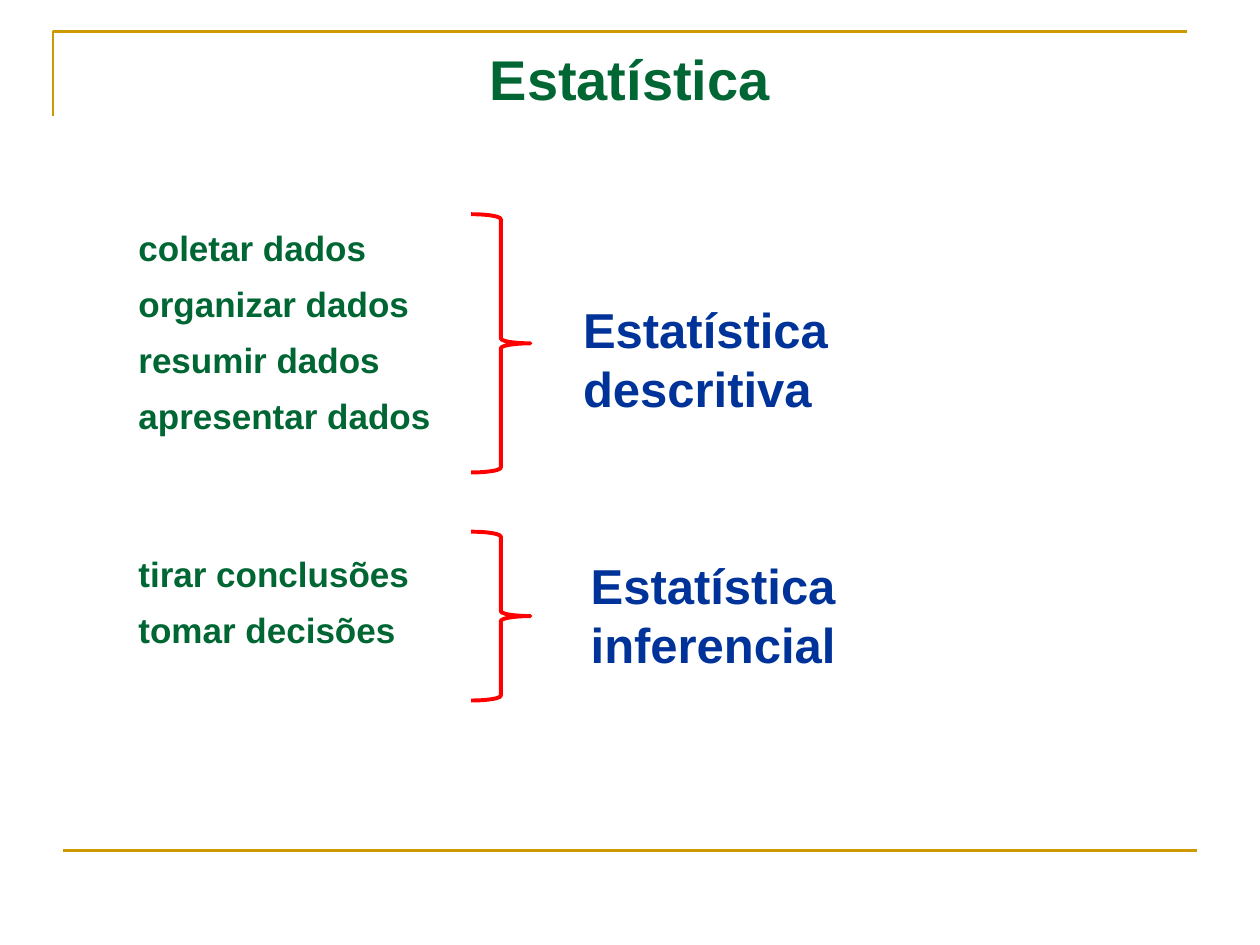
from dataclasses import dataclass

from pptx import Presentation
from pptx import util as u
from pptx.dml.color import RGBColor
from pptx.enum import shapes, text
from pptx.oxml import parse_xml
from pptx.oxml.ns import nsdecls


@dataclass(frozen=True)
class Theme:
    font: str = "Arial"
    green: str = "006633"
    blue: str = "003399"
    red: str = "FF0000"
    gold: str = "CC9900"
    title_size: float = 32
    label_size: float = 28
    item_size: float = 20
    item_gap: float = 8
    frame_width: float = 1.5
    brace_width: float = 2.25


class SlideBuilder:
    """Places elements on a grid of 20 columns and 15 rows."""

    COLUMNS, ROWS = 20, 15

    def __init__(self, presentation, theme):
        self.theme = theme
        self.column = presentation.slide_width / self.COLUMNS
        self.row = presentation.slide_height / self.ROWS
        self.slide = presentation.slides.add_slide(presentation.slide_layouts[5])

    def point(self, column, row):
        return round(column * self.column), round(row * self.row)

    def box(self, left, top, width, height):
        return *self.point(left, top), *self.point(width, height)

    def fill_text(self, frame, lines, size, color, gap=0, align=text.PP_ALIGN.LEFT):
        frame_format = {
            "word_wrap": True,
            "auto_size": text.MSO_AUTO_SIZE.NONE,
            "vertical_anchor": text.MSO_ANCHOR.TOP,
        }
        font_format = {"name": self.theme.font, "size": u.Pt(size), "bold": True}
        for name, value in frame_format.items():
            setattr(frame, name, value)
        for index, line in enumerate(lines):
            paragraph = frame.add_paragraph() if index else frame.paragraphs[0]
            paragraph.alignment = align
            paragraph.space_before = u.Pt(gap if index else 0)
            run = paragraph.add_run()
            run.text = line
            for name, value in font_format.items():
                setattr(run.font, name, value)
            run.font.color.rgb = RGBColor.from_string(color)

    def title(self, wording, place):
        shape = self.slide.shapes.title
        for name, value in zip(("left", "top", "width", "height"), self.box(*place)):
            setattr(shape, name, value)
        self.fill_text(shape.text_frame, [wording], self.theme.title_size,
                       self.theme.green, align=text.PP_ALIGN.CENTER)

    def text_box(self, lines, place, size, color, gap=0):
        shape = self.slide.shapes.add_textbox(*self.box(*place))
        self.fill_text(shape.text_frame, lines, size, color, gap)

    def outline(self, shape, color, width):
        shape.line.color.rgb = RGBColor.from_string(color)
        shape.line.width = u.Pt(width)

    def brace(self, place):
        shape = self.slide.shapes.add_shape(
            shapes.MSO_SHAPE.RIGHT_BRACE, *self.box(*place))
        shape.shadow.inherit = False
        shape.fill.background()
        self.outline(shape, self.theme.red, self.theme.brace_width)

    def corner(self, *points):
        """Draws an open, unfilled line through the grid points."""
        start, *others = (self.point(*point) for point in points)
        builder = self.slide.shapes.build_freeform(*start)
        builder.add_line_segments(others, close=False)
        shape = builder.convert_to_shape()
        shape.shadow.inherit = False
        shape.fill.background()
        self.outline(shape, self.theme.gold, self.theme.frame_width)

    def rule(self, start, end):
        connector = self.slide.shapes.add_connector(
            shapes.MSO_CONNECTOR.STRAIGHT, *self.point(*start), *self.point(*end))
        self.outline(connector, self.theme.gold, self.theme.frame_width)
        connector._element.spPr.append(parse_xml(f"<a:effectLst {nsdecls('a')}/>"))


GROUPS = [
    {
        "items": ["coletar dados", "organizar dados", "resumir dados", "apresentar dados"],
        "items_place": (2, 3.5, 5.5, 3.8),
        "brace": (7.48, 3.4, 0.94, 4.1),
        "label": "Estatística descritiva",
        "label_place": (9.06, 4.66, 7.88, 2.08),
    },
    {
        "items": ["tirar conclusões", "tomar decisões"],
        "items_place": (2, 8.67, 5.5, 2),
        "brace": (7.48, 8.44, 0.94, 2.68),
        "label": "Estatística inferencial",
        "label_place": (9.18, 8.72, 7.6, 2.08),
    },
]


def main():
    presentation = Presentation()
    presentation.slide_width, presentation.slide_height = u.Inches(10), u.Inches(7.5)
    theme = Theme()
    builder = SlideBuilder(presentation, theme)

    builder.corner((0.84, 1.84), (0.84, 0.5), (18.84, 0.5))
    builder.rule((1, 13.5), (19, 13.5))
    builder.title("Estatística", (1, 0.6, 18, 3))
    for group in GROUPS:
        builder.text_box(group["items"], group["items_place"],
                         theme.item_size, theme.green, theme.item_gap)
        builder.brace(group["brace"])
        builder.text_box([group["label"]], group["label_place"],
                         theme.label_size, theme.blue)

    presentation.save("out.pptx")


if __name__ == "__main__":
    main()
